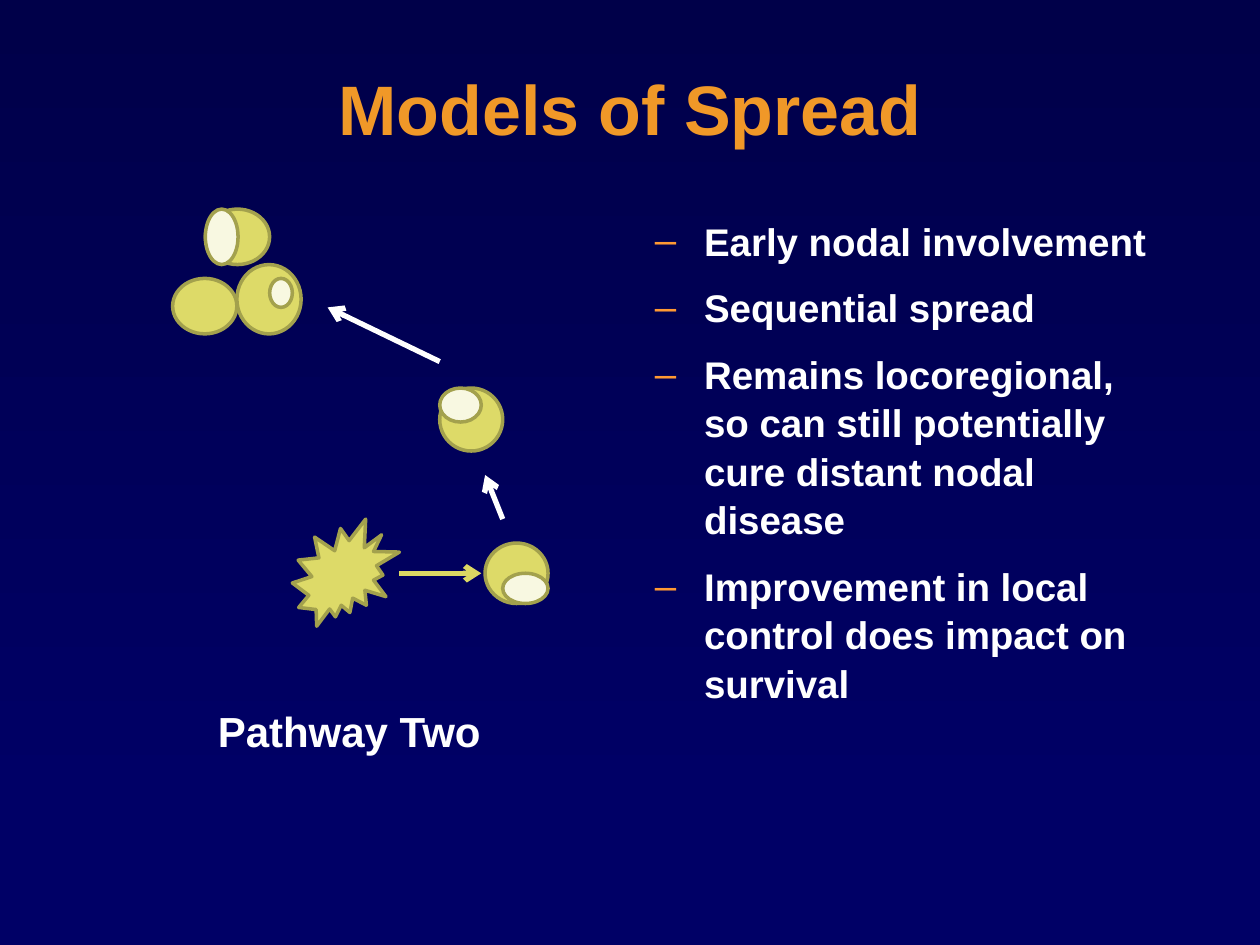
"""Build the "Models of Spread" slide with a nodal pathway diagram and bullets."""
from dataclasses import dataclass

from lxml import etree
from pptx import Presentation
from pptx import util as u
from pptx.dml.color import RGBColor
from pptx.enum import shapes, text
from pptx.oxml import ns


@dataclass(frozen=True)
class Theme:
    """Colours, font and type sizes."""
    font: str = "Arial"
    night: str = "000049"
    navy: str = "000066"
    orange: str = "F09828"
    dash: str = "FF9933"
    yellow: str = "DDDA68"
    olive: str = "A3A14D"
    cream: str = "F8F8E1"
    arrow: str = "DBD863"
    white: str = "FFFFFF"
    title: int = 40
    caption: int = 24
    body: int = 22


@dataclass(frozen=True)
class Cell:
    """A filled outline shape in the diagram."""
    left: float
    top: float
    width: float
    height: float
    fill: str
    kind: shapes.MSO_SHAPE = shapes.MSO_SHAPE.OVAL


@dataclass(frozen=True)
class Arrow:
    """A straight arrow between two points."""
    start: tuple[float, float]
    end: tuple[float, float]
    color: str


THEME = Theme()
NODE, CORE = THEME.yellow, THEME.cream
CELLS = [
    Cell(2.32, 4.12, 0.85, 0.85, NODE, shapes.MSO_SHAPE.EXPLOSION2),
    Cell(3.85, 4.31, 0.5, 0.48, NODE),
    Cell(3.49, 3.08, 0.5, 0.5, NODE),
    Cell(1.63, 1.66, 0.51, 0.44, NODE),
    Cell(1.37, 2.21, 0.51, 0.44, NODE),
    Cell(1.88, 2.1, 0.51, 0.55, NODE),
    Cell(3.49, 3.08, 0.33, 0.27, CORE),
    Cell(2.14, 2.21, 0.18, 0.23, CORE),
    Cell(1.63, 1.66, 0.26, 0.44, CORE),
    Cell(3.99, 4.55, 0.36, 0.24, CORE),
]
ARROWS = [
    Arrow((3.17, 4.55), (3.82, 4.55), THEME.arrow),
    Arrow((3.99, 4.12), (3.85, 3.77), THEME.white),
    Arrow((3.49, 2.87), (2.6, 2.44), THEME.white),
]
POINTS = [
    "Early nodal involvement",
    "Sequential spread",
    "Remains locoregional, so can still potentially cure distant nodal disease",
    "Improvement in local control does impact on survival",
]


def rgb(value: str) -> RGBColor:
    """Turn a hex string into a colour."""
    return RGBColor.from_string(value)


def inches(*values: float) -> list[u.Length]:
    """Convert numbers to lengths."""
    return [u.Inches(value) for value in values]


def child(parent, tag: str, **attributes: str):
    """Append a DrawingML element."""
    return etree.SubElement(parent, ns.qn(tag), attributes)


def apply(target, **values) -> None:
    """Set several attributes on one object."""
    for name, value in values.items():
        setattr(target, name, value)


def write(para, words: str, size: int, color: str):
    """Add a bold span of text to a paragraph."""
    span = para.add_run()
    span.text = words
    apply(span.font, name=THEME.font, size=u.Pt(size), bold=True)
    span.font.color.rgb = rgb(color)
    return span


def draw_background(page) -> None:
    """Fill the page and lay the gradient band behind everything."""
    page.background.fill.solid()
    page.background.fill.fore_color.rgb = rgb(THEME.navy)
    band = page.shapes.add_shape(shapes.MSO_SHAPE.RECTANGLE, *inches(0, 0, 10, 6.42))
    band.shadow.inherit = False
    band.line.fill.background()
    band.fill.gradient()
    band.fill.gradient_angle = 270
    for stop, color in zip(band.fill.gradient_stops, (THEME.night, THEME.navy)):
        stop.color.rgb = rgb(color)
    page.shapes._spTree.insert(2, band._element)


def draw_title(page) -> None:
    """Place the title with its text shadow."""
    box = page.shapes.title
    left, top, width, height = inches(0.37, 0.28, 9.26, 1.25)
    apply(box, left=left, top=top, width=width, height=height)
    box.text_frame.vertical_anchor = text.MSO_ANCHOR.MIDDLE
    para = box.text_frame.paragraphs[0]
    apply(para, alignment=text.PP_ALIGN.CENTER, line_spacing=0.85)
    span = write(para, "Models of Spread", THEME.title, THEME.orange)
    effects = etree.Element(ns.qn("a:effectLst"))
    shadow = child(effects, "a:outerShdw", dist="38100", dir="2700000")
    child(shadow, "a:srgbClr", val="000000")
    span.font._element.find(ns.qn("a:solidFill")).addnext(effects)


def draw_cell(page, cell: Cell) -> None:
    """Draw one cell of the diagram."""
    shape = page.shapes.add_shape(
        cell.kind, *inches(cell.left, cell.top, cell.width, cell.height))
    shape.shadow.inherit = False
    shape.fill.solid()
    shape.fill.fore_color.rgb = rgb(cell.fill)
    shape.line.color.rgb = rgb(THEME.olive)
    shape.line.width = u.Pt(2)


def draw_arrow(page, arrow: Arrow) -> None:
    """Draw one arrow of the pathway."""
    line = page.shapes.add_connector(
        shapes.MSO_CONNECTOR.STRAIGHT, *inches(*arrow.start, *arrow.end))
    line.line.color.rgb = rgb(arrow.color)
    line.line.width = u.Pt(3)
    child(line.line._get_or_add_ln(), "a:tailEnd", type="arrow")
    child(line._element.spPr, "a:effectLst")


def add_box(page, left: float, top: float, width: float, height: float):
    """Add a wrapping text box and return its frame."""
    frame = page.shapes.add_textbox(*inches(left, top, width, height)).text_frame
    frame.word_wrap = True
    return frame


def draw_points(page) -> None:
    """Write the dashed list."""
    frame = add_box(page, 5.1, 1.66, 4.13, 4.96)
    indent = u.Inches(0.39)
    for index, words in enumerate(POINTS):
        para = frame.add_paragraph() if index else frame.paragraphs[0]
        props = para._p.get_or_add_pPr()
        props.set("marL", str(indent))
        props.set("indent", str(-indent))
        child(child(props, "a:buClr"), "a:srgbClr", val=THEME.dash)
        child(props, "a:buFont", typeface=THEME.font)
        child(props, "a:buChar", char="–")
        apply(para, line_spacing=1.05, space_after=u.Pt(6),
              space_before=u.Pt(4.4 if index else 0))
        write(para, words, THEME.body, THEME.white)


def main() -> None:
    """Build and save the deck."""
    deck = Presentation()
    apply(deck, slide_width=u.Inches(10), slide_height=u.Inches(7.5))
    page = deck.slides.add_slide(deck.slide_layouts[5])
    draw_background(page)
    draw_title(page)
    for cell in CELLS:
        draw_cell(page, cell)
    for arrow in ARROWS:
        draw_arrow(page, arrow)
    caption = add_box(page, 1.63, 5.55, 2.72, 0.51)
    write(caption.paragraphs[0], "Pathway Two", THEME.caption, THEME.white)
    draw_points(page)
    deck.save("out.pptx")


if __name__ == "__main__":
    main()
